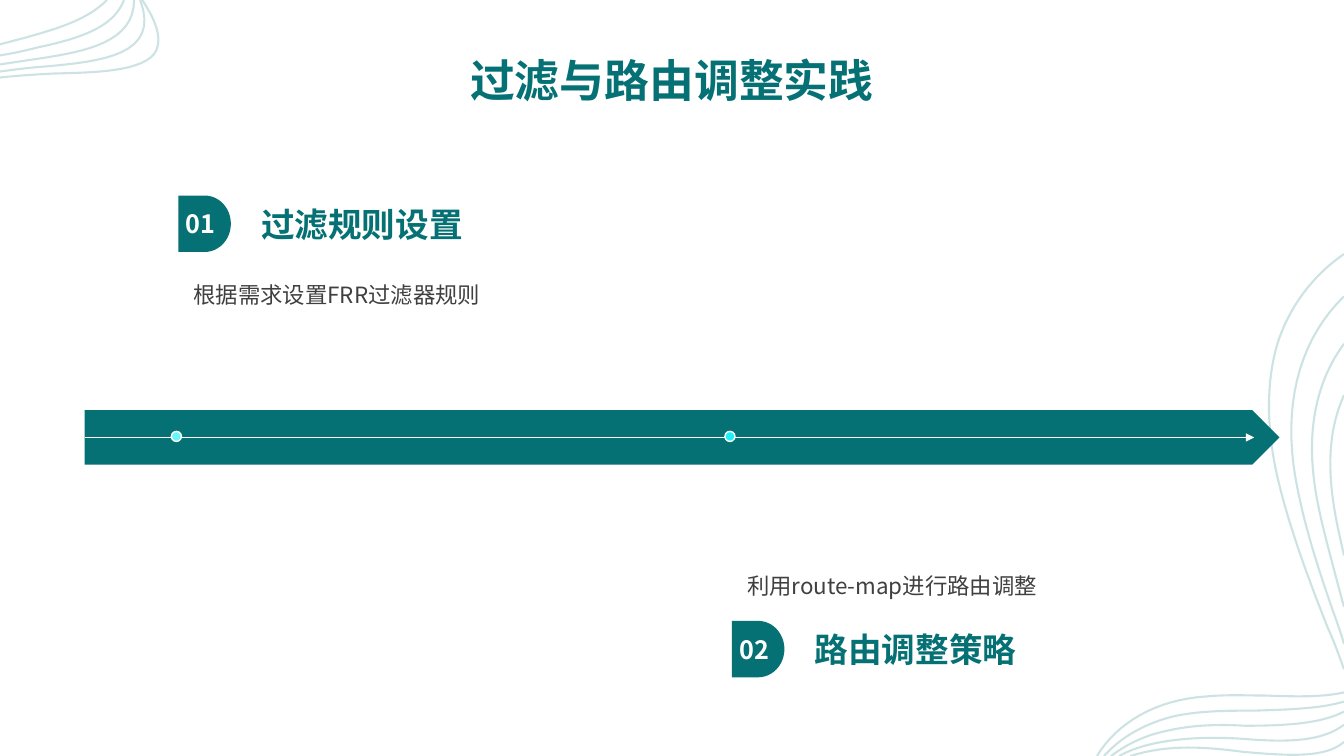
from lxml import etree
from pptx import Presentation
from pptx import util as u
from pptx.dml.color import RGBColor
from pptx.enum import shapes, text
from pptx.oxml.ns import qn

TEAL, WHITE, GREY, WAVE = "057174", "FFFFFF", "404040", "CDE3E3"
TITLE = "过滤与路由调整实践"
TITLE_FONT, BODY_FONT = "Noto Sans CJK JP", "Noto Sans CJK SC"

STEPS = [
    {"number": "01", "heading": "过滤规则设置", "detail": "根据需求设置FRR过滤器规则",
     "left": 1.77, "top": 1.94, "detail_shift": 0.72, "anchor": "TOP",
     "dot_left": 1.7, "dot_color": "6AF5F9"},
    {"number": "02", "heading": "路由调整策略", "detail": "利用route-map进行路由调整",
     "left": 7.26, "top": 6.16, "detail_shift": -1.25, "anchor": "BOTTOM",
     "dot_left": 7.19, "dot_color": "1FF0F5"},
]

CORNER_WAVES = [
    [(0, .44), (.08, .42), (.15, .4), (.23, .38), (.55, .29), (.87, .2), (1.06, 0)],
    [(0, .55), (.13, .53), (.26, .5), (.38, .47), (.8, .38), (1.13, .27), (1.23, 0)],
    [(0, .64), (.13, .62), (.26, .6), (.4, .58), (.85, .51), (1.33, .42), (1.33, 0)],
    [(0, .71), (.15, .69), (.3, .67), (.45, .66), (1, .61), (1.6, .55), (1.39, 0)],
    [(0, .77), (.17, .75), (.35, .74), (.53, .73), (.95, .72), (1.45, .71), (1.55, .5),
     (1.61, .36), (1.53, .18), (1.41, 0)],
]
SIDE_WAVES = [
    [(13.33, 2.52), (13.01, 2.74), (12.78, 3.06), (12.67, 3.41), (12.56, 3.78), (12.56, 4.22),
     (12.66, 4.69), (12.77, 5.18), (12.96, 5.7), (13.17, 6.23), (13.23, 6.36), (13.28, 6.5),
     (13.33, 6.64)],
    [(13.33, 2.94), (12.92, 3.34), (12.74, 3.92), (12.83, 4.62), (12.9, 5.1), (13.05, 5.57),
     (13.22, 6.06), (13.26, 6.17), (13.3, 6.28), (13.33, 6.39)],
    [(13.33, 3.41), (13.05, 3.79), (12.95, 4.29), (13.05, 4.88), (13.1, 5.18), (13.19, 5.49),
     (13.27, 5.8), (13.29, 5.87), (13.31, 5.95), (13.33, 6.02)],
    [(13.33, 3.92), (13.15, 4.32), (13.17, 4.76), (13.27, 5.24), (13.29, 5.33), (13.31, 5.42),
     (13.33, 5.51)],
]
FLOOR_WAVES = [
    [(13.33, 6.87), (13.1, 6.92), (12.82, 6.91), (12.54, 6.9), (12.35, 6.9), (12.15, 6.89),
     (11.96, 6.91), (11.47, 6.94), (11.08, 7.17), (10.88, 7.5)],
    [(13.33, 6.96), (13.1, 7.03), (12.78, 7.04), (12.44, 7.05), (12.2, 7.05), (11.92, 7.05),
     (11.67, 7.1), (11.35, 7.17), (11.1, 7.33), (10.95, 7.5)],
    [(13.33, 7.06), (13.1, 7.18), (12.75, 7.2), (12.35, 7.2), (12, 7.18), (11.72, 7.2),
     (11.42, 7.29), (11.27, 7.34), (11.14, 7.41), (11.02, 7.5)],
    [(13.33, 7.19), (13.12, 7.35), (12.8, 7.37), (12.33, 7.33), (11.9, 7.3), (11.4, 7.33),
     (11.1, 7.5)],
    [(13.33, 7.36), (13.15, 7.52), (12.8, 7.5), (12.34, 7.46), (11.95, 7.41), (11.6, 7.38),
     (11.21, 7.5)],
]

TITLE_FORMAT = {"size": u.Pt(32), "bold": True, "name": TITLE_FONT}
BADGE_FORMAT = {"size": u.Pt(18), "bold": True, "name": BODY_FONT}
HEADING_FORMAT = {"size": u.Pt(24), "bold": True, "name": BODY_FONT}
DETAIL_FORMAT = {"size": u.Pt(16), "bold": False, "name": BODY_FONT}


def cm(inches):
    return u.Cm(inches * 2.54)


def paint(target, color):
    if hasattr(target, "solid"):
        target.solid()
        target = target.fore_color
    target.rgb = RGBColor.from_string(color)


def stroke(line, color, width):
    paint(line.fill, color)
    line.width = u.Pt(width)


def write(holder, words, style, color, anchor="MIDDLE", align="LEFT", spacing=None, wrap=True):
    frame = holder.text_frame
    settings = {"word_wrap": wrap, "vertical_anchor": getattr(text.MSO_ANCHOR, anchor),
                "margin_left": 0, "margin_right": 0, "margin_top": 0, "margin_bottom": 0}
    for key, value in settings.items():
        setattr(frame, key, value)
    line = frame.paragraphs[0]
    line.alignment = getattr(text.PP_ALIGN, align)
    line.line_spacing = spacing
    run = line.add_run()
    run.text = words
    for key, value in style.items():
        setattr(run.font, key, value)
    paint(run.font.color, color)
    east_asian = etree.SubElement(run.font._element, qn("a:ea"))
    east_asian.set("typeface", style["name"])


def add_text(slide, box, *words, **layout):
    write(slide.shapes.add_textbox(*map(cm, box)), *words, **layout)


def add_block(slide, preset, box, color):
    block = slide.shapes.add_shape(getattr(shapes.MSO_SHAPE, preset), *map(cm, box))
    block.shadow.inherit = False
    paint(block.fill, color)
    block.line.fill.background()
    return block


def curve_points(wave, steps=16):
    for i in range(0, len(wave) - 1, 3):
        for step in range(1, steps + 1):
            t = step / steps
            weights = ((1 - t) ** 3, 3 * t * (1 - t) ** 2, 3 * t * t * (1 - t), t ** 3)
            yield tuple(cm(sum(w * p[axis] for w, p in zip(weights, wave[i:i + 4])))
                        for axis in (0, 1))


def add_waves(slide, waves):
    builder = slide.shapes.build_freeform(*map(cm, waves[0][0]))
    for wave in waves:
        if wave is not waves[0]:
            builder.move_to(*map(cm, wave[0]))
        builder.add_line_segments(list(curve_points(wave)), close=False)
    strands = builder.convert_to_shape()
    strands.shadow.inherit = False
    strands.fill.background()
    stroke(strands.line, WAVE, 1.5)


def add_timeline(slide):
    add_block(slide, "PENTAGON", (0.84, 4.07, 11.85, 0.54), TEAL)
    axis = slide.shapes.add_connector(shapes.MSO_CONNECTOR.STRAIGHT,
                                      *map(cm, (0.84, 4.34, 12.44, 4.34)))
    stroke(axis.line, WHITE, 0.5)
    etree.SubElement(axis.line._get_or_add_ln(), qn("a:tailEnd")).set("type", "triangle")
    etree.SubElement(axis._element.spPr, qn("a:effectLst"))


def add_step(slide, step):
    left, top = step["left"], step["top"]
    dot = add_block(slide, "OVAL", (step["dot_left"], 4.28, 0.1, 0.1), step["dot_color"])
    stroke(dot.line, WHITE, 1)
    add_text(slide, (left + 0.15, top + step["detail_shift"], 4.85, 1.03), step["detail"],
             DETAIL_FORMAT, GREY, anchor=step["anchor"], spacing=1.5)
    badge = add_block(slide, "FLOWCHART_DELAY", (left, top, 0.52, 0.56), TEAL)
    write(badge, step["number"], BADGE_FORMAT, WHITE, align="CENTER", wrap=False)
    add_text(slide, (left + 0.82, top + 0.07, 4.17, 0.42), step["heading"],
             HEADING_FORMAT, TEAL)


def main():
    deck = Presentation()
    deck.slide_width, deck.slide_height = cm(13.33), cm(7.5)
    slide = deck.slides.add_slide(deck.slide_layouts[6])
    for waves in (CORNER_WAVES, SIDE_WAVES + FLOOR_WAVES):
        add_waves(slide, waves)
    add_text(slide, (0.76, 0.39, 11.81, 0.79), TITLE, TITLE_FORMAT, TEAL, align="CENTER")
    add_timeline(slide)
    for step in STEPS:
        add_step(slide, step)
    deck.save("out.pptx")


if __name__ == "__main__":
    main()
